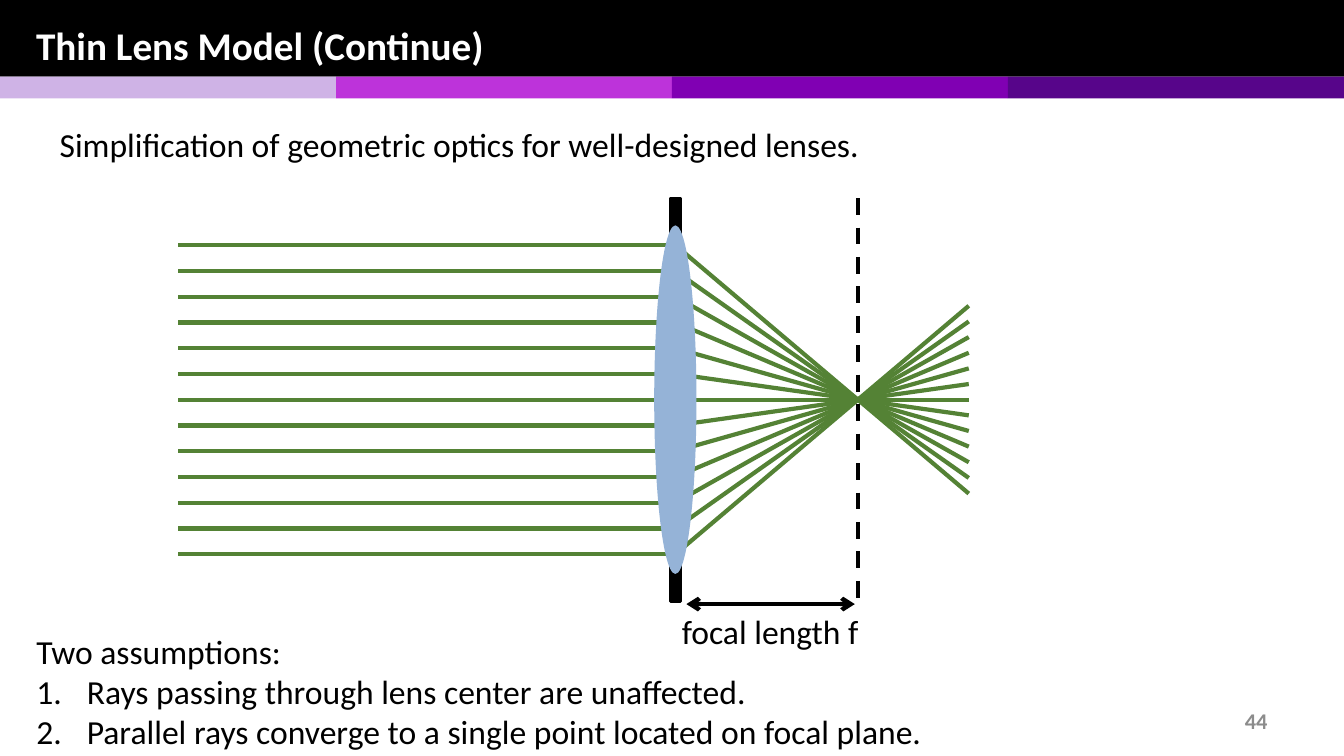
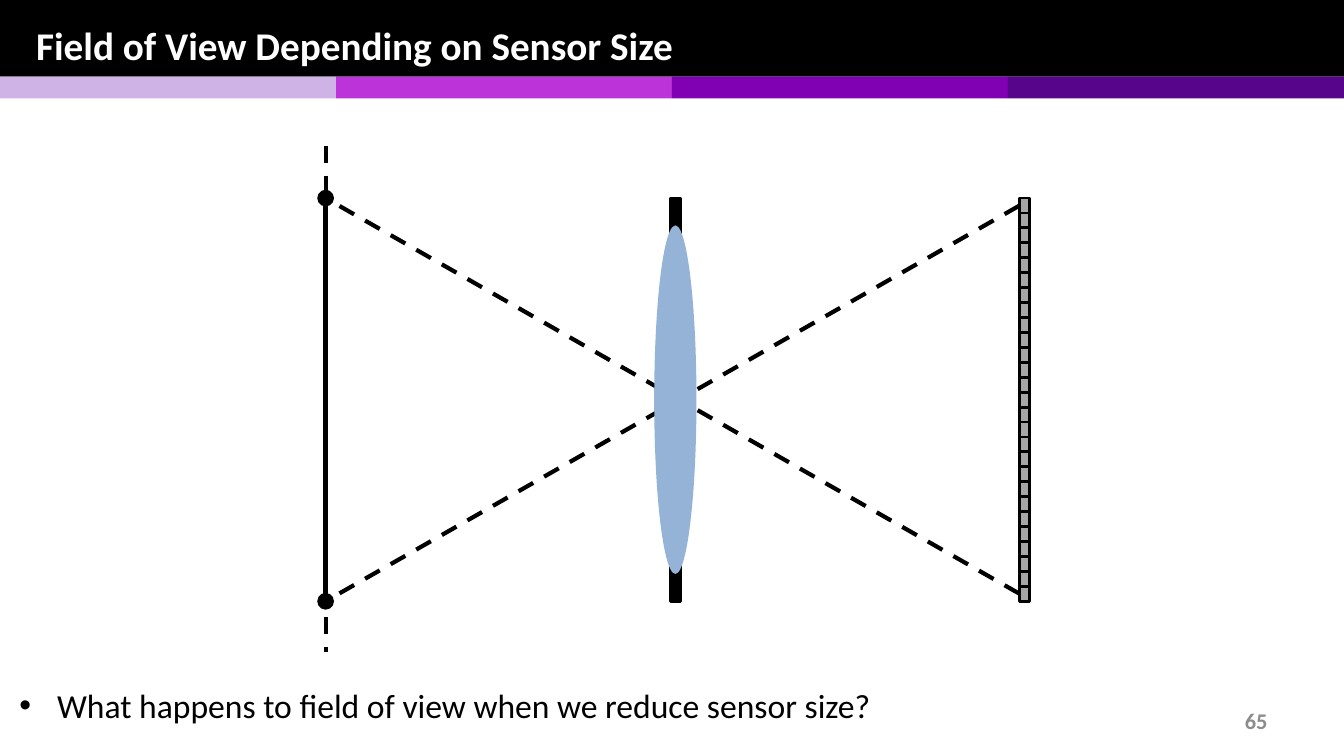
from lxml.etree import SubElement
from pptx import Presentation
from pptx.dml.color import RGBColor
from pptx.enum.dml import MSO_LINE
from pptx.enum.shapes import MSO_CONNECTOR, MSO_SHAPE
from pptx.enum.text import MSO_ANCHOR, PP_ALIGN
from pptx.oxml.ns import qn
from pptx.util import Pt

COLORS = {
    "black": "000000",
    "white": "FFFFFF",
    "number": "8C8C8C",
    "ray": "548235",
    "lens": "95B3D7",
    "pixel": "A6A6A6",
}
BANDS = ["CFB3E6", "BD33DA", "8000B3", "57058A"]
FONT = "Calibri"
WIDTH, HEIGHT = 960, 540

THIN_LENS = {
    "title": "Thin Lens Model (Continue)",
    "number": "44",
    "intro": "Simplification of geometric optics for well-designed lenses.",
    "focal": "focal length f",
    "heading": "Two assumptions:",
    "assumptions": [
        "Rays passing through lens center are unaffected.",
        "Parallel rays converge to a single point located on focal plane.",
    ],
}
FIELD_OF_VIEW = {
    "title": "Field of View Depending on Sensor Size",
    "number": "65",
    "question": "What happens to field of view when we reduce sensor size?",
}

LENS_X, AXIS_Y = 482.4, 285.5
APERTURE_HALF = 144
TOP, BOTTOM = AXIS_Y - APERTURE_HALF, AXIS_Y + APERTURE_HALF
RAY_START_X, FOCUS_X, RAY_END_X = 127.5, 612.8, 692
RAY_GAP, RAYS_PER_SIDE = 18.4, 6
OBJECT_X, SENSOR_X = 232.6, 728
PIXEL_COUNT = 27


def color(name):
    return RGBColor.from_string(COLORS.get(name, name))


def add_block(page, kind, left, top, width, height, fill, outline=0):
    block = page.shapes.add_shape(kind, Pt(left), Pt(top), Pt(width), Pt(height))
    block.shadow.inherit = False
    block.fill.solid()
    block.fill.fore_color.rgb = color(fill)
    if outline:
        block.line.color.rgb = color("black")
        block.line.width = Pt(outline)
    else:
        block.line.fill.background()


def add_line(page, start, end, shade="black", width=3, dashed=False, ends=None):
    line = page.shapes.add_connector(
        MSO_CONNECTOR.STRAIGHT, *(Pt(value) for value in (*start, *end)))
    line.line.color.rgb = color(shade)
    line.line.width = Pt(width)
    if dashed:
        line.line.dash_style = MSO_LINE.DASH
    properties = line.element.spPr
    if ends:
        outline = properties.find(qn("a:ln"))
        for tag in ("a:headEnd", "a:tailEnd"):
            SubElement(outline, qn(tag), type=ends)
    SubElement(properties, qn("a:effectLst"))


def add_text(page, area, lines, size=24, shade="black", bold=False,
             align=PP_ALIGN.LEFT, inset=(3, 3)):
    box = page.shapes.add_textbox(*(Pt(value) for value in area))
    frame = box.text_frame
    frame.word_wrap = True
    frame.vertical_anchor = MSO_ANCHOR.MIDDLE
    frame.margin_left = frame.margin_right = Pt(inset[0])
    frame.margin_top = frame.margin_bottom = Pt(inset[1])
    for index, (text, marker, indent) in enumerate(lines):
        para = frame.paragraphs[0] if index == 0 else frame.add_paragraph()
        para.alignment = align
        if marker:
            properties = para._p.get_or_add_pPr()
            properties.set("marL", str(Pt(indent)))
            properties.set("indent", str(-Pt(indent)))
            if marker == "number":
                SubElement(properties, qn("a:buAutoNum"), type="arabicPeriod")
            else:
                SubElement(properties, qn("a:buFont"), typeface="Arial")
                SubElement(properties, qn("a:buChar"), char=marker)
        para.text = text
        para.font.name = FONT
        para.font.size = Pt(size)
        para.font.bold = bold
        para.font.color.rgb = color(shade)


def plain(text):
    return [(text, None, 0)]


def add_page(deck, content):
    page = deck.slides.add_slide(deck.slide_layouts[6])
    add_block(page, MSO_SHAPE.RECTANGLE, 0, 0, WIDTH, 54.7, "black")
    band_width = WIDTH / len(BANDS)
    for index, band in enumerate(BANDS):
        add_block(page, MSO_SHAPE.RECTANGLE, index * band_width, 54.7, band_width, 15.6, band)
    add_text(page, (18.7, 1, 921, 62), plain(content["title"]), 28, "white", True,
             inset=(7.2, 3.6))
    add_text(page, (688.5, 500.4, 224, 28.8), plain(content["number"]), 16, "number", True,
             PP_ALIGN.RIGHT, (7.2, 3.6))
    return page


def add_aperture(page):
    add_block(page, MSO_SHAPE.RECTANGLE, LENS_X - 3.6, TOP, 7.2, 2 * APERTURE_HALF, "black", 2)


def add_lens(page):
    add_block(page, MSO_SHAPE.OVAL, LENS_X - 15.1, AXIS_Y - 124.5, 30.2, 249, "lens")


def build_thin_lens(deck):
    page = add_page(deck, THIN_LENS)
    add_aperture(page)
    add_text(page, (39.6, 85.7, 620, 34.6), plain(THIN_LENS["intro"]))
    assumptions = [(text, "number", 36) for text in THIN_LENS["assumptions"]]
    add_text(page, (23, 447, 708, 93), plain(THIN_LENS["heading"]) + assumptions)
    add_text(page, (466.6, 433.4, 167, 34.6), plain(THIN_LENS["focal"]), align=PP_ALIGN.CENTER)
    add_line(page, (490.3, 431.5), (610.6, 431.5), ends="arrow")
    add_line(page, (FOCUS_X, TOP), (FOCUS_X, BOTTOM), dashed=True)
    spread = (RAY_END_X - FOCUS_X) / (FOCUS_X - LENS_X)
    for step in range(-RAYS_PER_SIDE, RAYS_PER_SIDE + 1):
        offset = step * RAY_GAP
        bend = (LENS_X, AXIS_Y + offset)
        add_line(page, (RAY_START_X, AXIS_Y + offset), bend, "ray")
        add_line(page, bend, (RAY_END_X, AXIS_Y - offset * spread), "ray")
    add_lens(page)


def build_field_of_view(deck):
    page = add_page(deck, FIELD_OF_VIEW)
    add_line(page, (OBJECT_X, 104.4), (OBJECT_X, 465.8), dashed=True)
    for side in (-1, 1):
        add_line(page, (SENSOR_X, AXIS_Y + side * 138.5),
                 (OBJECT_X, AXIS_Y - side * APERTURE_HALF), dashed=True)
    add_line(page, (OBJECT_X, TOP), (OBJECT_X, BOTTOM), width=4, ends="oval")
    pixel_height = 2 * APERTURE_HALF / PIXEL_COUNT
    for index in range(PIXEL_COUNT):
        add_block(page, MSO_SHAPE.RECTANGLE, SENSOR_X, TOP + index * pixel_height,
                  7.2, pixel_height, "pixel", 2)
    add_aperture(page)
    add_lens(page)
    add_text(page, (10.8, 486, 854.6, 34.6), [(FIELD_OF_VIEW["question"], "•", 27)])


def main():
    deck = Presentation()
    deck.slide_width, deck.slide_height = Pt(WIDTH), Pt(HEIGHT)
    build_thin_lens(deck)
    build_field_of_view(deck)
    deck.save("out.pptx")


if __name__ == "__main__":
    main()
